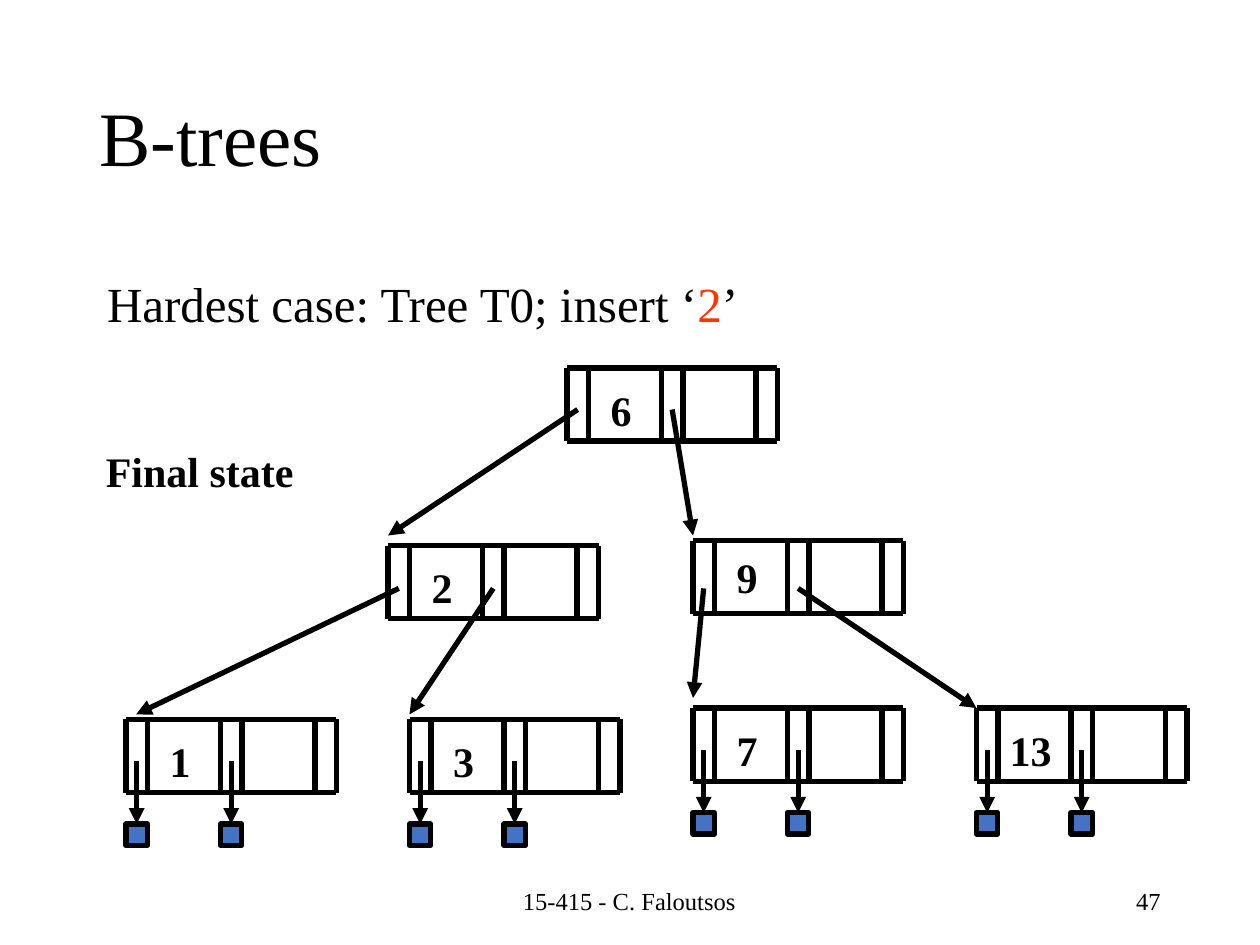
from lxml import etree
from pptx import Presentation
from pptx.dml.color import RGBColor
from pptx.enum.shapes import MSO_CONNECTOR, MSO_SHAPE
from pptx.enum.text import MSO_ANCHOR, MSO_AUTO_SIZE, PP_ALIGN
from pptx.oxml.ns import qn
from pptx.util import Inches, Pt

STRAIGHT, RECTANGLE = MSO_CONNECTOR.STRAIGHT, MSO_SHAPE.RECTANGLE
TOP, MIDDLE = MSO_ANCHOR.TOP, MSO_ANCHOR.MIDDLE
LEFT, CENTER, RIGHT = PP_ALIGN.LEFT, PP_ALIGN.CENTER, PP_ALIGN.RIGHT
NO_AUTOFIT = MSO_AUTO_SIZE.NONE

BLACK = RGBColor(0x00, 0x00, 0x00)
RED = RGBColor(0xFF, 0x33, 0x00)
BLUE = RGBColor(0x44, 0x72, 0xC4)
FONT = "Times New Roman"
LINE_WIDTH = Pt(3)

TITLE = [("B-trees", BLACK)]
TASK = [("Hardest case: Tree T0; insert ‘", BLACK), ("2", RED), ("’", BLACK)]

# text, box, size, bold, alignment, anchor
LABELS = [
    ("Final state", (0.67, 3.49, 1.83, 0.5), 24, True, CENTER, TOP),
    ("15-415 - C. Faloutsos", (3.31, 6.95, 3.37, 0.4), 14, False, CENTER, MIDDLE),
    ("47", (7.06, 6.95, 2.25, 0.4), 14, False, RIGHT, MIDDLE),
]

# key: left, top, gap above the key's box
INNER_NODES = {
    "6": (4.5, 2.92, 0.08),
    "2": (3.08, 4.33, 0.08),
    "9": (5.5, 4.29, 0.04),
}
LEAVES = {
    "1": (1, 5.71, 0.08),
    "3": (3.25, 5.71, 0.08),
    "7": (5.5, 5.62, 0.08),
    "13": (7.75, 5.62, 0.08),
}

# parent key, start height, arrow tip of each child
CHILDREN = [
    ("6", 3.25, [(3.08, 4.25), (5.5, 4.25)]),
    ("2", 4.67, [(1.08, 5.67), (3.25, 5.67)]),
    ("9", 4.67, [(5.5, 5.54), (7.75, 5.62)]),
]

SLOT = 0.17          # width of a pointer slot and of a record
PITCH = 0.75         # one pointer slot plus one key cell
NODE_WIDTH = 2 * PITCH + SLOT
NODE_HEIGHT = 0.58
KEY_CENTER = 0.43
KEY_WIDTH, KEY_HEIGHT = 0.53, 0.5
RECORD_START, RECORD_TOP = 0.33, 0.83

prs = Presentation()
prs.slide_width, prs.slide_height = Inches(10), Inches(7.5)
slide = prs.slides.add_slide(prs.slide_layouts[1])
shapes = slide.shapes


def place(shape, box):
    shape.left, shape.top, shape.width, shape.height = map(Inches, box)


def write(frame, runs, size, bold=False, align=LEFT, anchor=TOP):
    frame.auto_size = NO_AUTOFIT
    frame.vertical_anchor = anchor
    paragraph = frame.paragraphs[0]
    paragraph.alignment = align
    paragraph.space_before = Pt(0)
    for text, color in runs:
        run = paragraph.add_run()
        run.text = text
        run.font.name, run.font.size, run.font.bold = FONT, Pt(size), bold
        run.font.color.rgb = color
    return paragraph


def add_label(text, box, size, bold, align, anchor):
    frame = shapes.add_textbox(*map(Inches, box)).text_frame
    frame.word_wrap = True
    write(frame, [(text, BLACK)], size, bold, align, anchor)


def add_line(start, end, arrow=False):
    line = shapes.add_connector(STRAIGHT, *map(Inches, (*start, *end)))
    line.line.color.rgb, line.line.width = BLACK, LINE_WIDTH
    if arrow:
        etree.SubElement(line.line._get_or_add_ln(), qn("a:tailEnd"), type="triangle")
    etree.SubElement(line._element.spPr, qn("a:effectLst"))


def add_node(key, left, top, key_gap):
    bottom = top + NODE_HEIGHT
    for slot in range(3):
        for x in (left + slot * PITCH, left + slot * PITCH + SLOT):
            add_line((x, top), (x, bottom))
    for y in (top, bottom):
        add_line((left, y), (left + NODE_WIDTH, y))
    key_box = (left + KEY_CENTER - KEY_WIDTH / 2, top + key_gap, KEY_WIDTH, KEY_HEIGHT)
    add_label(key, key_box, 24, True, CENTER, TOP)


def pointer_x(left, slot):
    return left + slot * PITCH + SLOT / 2


def add_records(left, top):
    for slot in range(2):
        x = pointer_x(left, slot)
        add_line((x, top + RECORD_START), (x, top + RECORD_TOP), arrow=True)
        box = (left + slot * PITCH, top + RECORD_TOP, SLOT, SLOT)
        record = shapes.add_shape(RECTANGLE, *map(Inches, box))
        record.shadow.inherit = False
        record.fill.solid()
        record.fill.fore_color.rgb = BLUE
        record.line.color.rgb, record.line.width = BLACK, LINE_WIDTH


title, task = slide.placeholders
place(title, (0.69, 0.4, 8.63, 1.45))
write(title.text_frame, TITLE, 44, anchor=MIDDLE).line_spacing = 0.9

place(task, (0.75, 2.17, 8.5, 0.67))
task_line = write(task.text_frame, TASK, 28)
task_line.line_spacing = 0.9
task_format = task_line._p.get_or_add_pPr()
task_format.set("marL", str(Inches(0.25)))
task_format.set("indent", str(Inches(-0.25)))
etree.SubElement(task_format, qn("a:buNone"))

for label in LABELS:
    add_label(*label)
for key, node in (INNER_NODES | LEAVES).items():
    add_node(key, *node)
for left, top, _ in LEAVES.values():
    add_records(left, top)
for parent, start_y, tips in CHILDREN:
    for slot, tip in enumerate(tips):
        add_line((pointer_x(INNER_NODES[parent][0], slot), start_y), tip, arrow=True)

prs.save("out.pptx")
